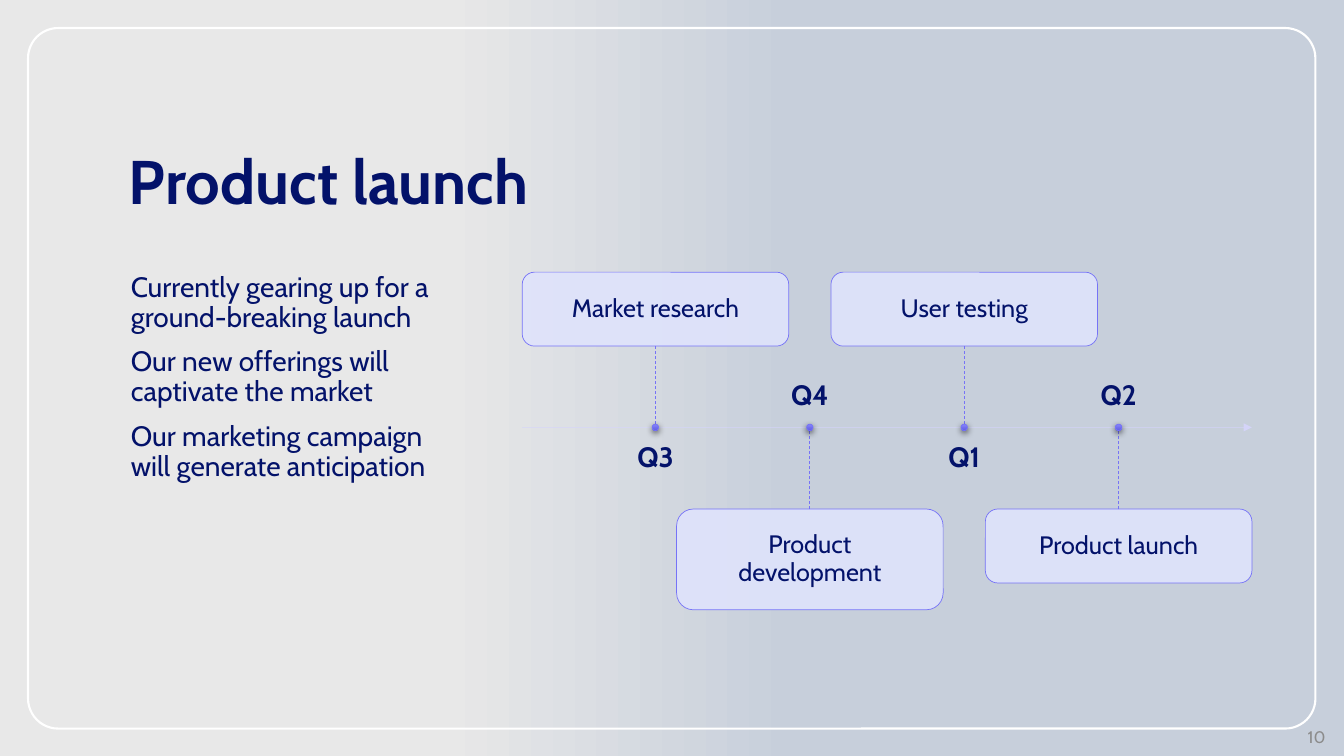
from lxml.etree import SubElement
from pptx import Presentation
from pptx.dml.color import RGBColor
from pptx.enum.dml import MSO_LINE_DASH_STYLE as DASH
from pptx.enum.shapes import MSO_CONNECTOR as CONN, MSO_SHAPE as SHAPE
from pptx.enum.text import MSO_ANCHOR as ANCHOR, PP_ALIGN as ALIGN
from pptx.oxml.ns import qn
from pptx.util import Pt

# Content
TITLE = "Product launch"
POINTS = [
    "Currently gearing up for a ground-breaking launch",
    "Our new offerings will captivate the market",
    "Our marketing campaign will generate anticipation",
]
MILESTONES = [  # quarter, step, box height
    ("Q3", "Market research", 52.8),
    ("Q4", "Product development", 72),
    ("Q1", "User testing", 52.8),
    ("Q2", "Product launch", 52.8),
]
PAGE = "10"

# Look
COLORS = {
    "left": "E8E8E8", "right": "C7CFDB", "frame": "FFFFFF", "navy": "03126A",
    "box": "DFE3FC", "violet": "7673F7", "axis": "D6D5FC", "page": "8C8C8C",
    "dot_top": "8886FA", "dot_bottom": "605DE5", "shadow": "000000",
}
FONT = "Cabin"

# Timeline layout in points
AXIS_Y, AXIS_X1, AXIS_X2 = 305.28, 373, 894.24
BOX_W, BOX_TOP, BOX_LOW = 190.4, 194.4, 363.6
FIRST_X = AXIS_X1 + BOX_W / 2
STEP = (AXIS_X2 - AXIS_X1 - BOX_W) / (len(MILESTONES) - 1)
LABEL_W, LABEL_H, LABEL_GAP = 167, 34.56, 11.52
DOT = 4.6


def rgb(name):
    return RGBColor.from_string(COLORS[name])


def add_alpha(color_parent, percent):
    color = next(color_parent.iter(qn("a:srgbClr")))
    SubElement(color, qn("a:alpha"), val=str(percent * 1000))


def gradient(fill, angle, *stops):
    fill.gradient()
    fill.gradient_angle = angle
    for stop, (position, name) in zip(fill.gradient_stops, stops):
        stop.position = position
        stop.color.rgb = rgb(name)


def outline(sp, name, width):
    sp.line.color.rgb = rgb(name)
    sp.line.width = Pt(width)


def write(sp, lines, size, color="navy", bold=False, align=ALIGN.LEFT,
          anchor=ANCHOR.TOP, inset=(7.2, 3.6), spacing=0.9, gap=0):
    tf = sp.text_frame
    across, down = (Pt(v) for v in inset)
    frame = {"word_wrap": True, "vertical_anchor": anchor, "margin_left": across,
             "margin_right": across, "margin_top": down, "margin_bottom": down}
    for key, value in frame.items():
        setattr(tf, key, value)
    for i, line in enumerate(lines):
        p = tf.paragraphs[0] if i == 0 else tf.add_paragraph()
        p.alignment, p.line_spacing = align, spacing
        if i:
            p.space_before = Pt(gap)
        r = p.add_run()
        r.text = line
        for key, value in {"name": FONT, "size": Pt(size), "bold": bold}.items():
            setattr(r.font, key, value)
        r.font.color.rgb = rgb(color)


def add_text(s, box, lines, size, **style):
    write(s.shapes.add_textbox(*map(Pt, box)), lines, size, **style)


def add_shape(s, kind, *box):
    sp = s.shapes.add_shape(kind, *map(Pt, box))
    sp.shadow.inherit = False
    return sp


def add_line(s, color, *ends):
    line = s.shapes.add_connector(CONN.STRAIGHT, *map(Pt, ends))
    outline(line, color, 0.5)
    SubElement(line._element.spPr, qn("a:effectLst"))
    return line


def add_dot(s, x):
    dot = add_shape(s, SHAPE.OVAL, x - DOT / 2, AXIS_Y - DOT / 2, DOT, DOT)
    gradient(dot.fill, 270, (0, "dot_top"), (1, "dot_bottom"))
    outline(dot, "violet", 0.5)
    effects = dot._element.spPr.find(qn("a:effectLst"))
    shadow = SubElement(effects, qn("a:outerShdw"), blurRad=str(Pt(4.5)),
                        dist=str(Pt(1.5)), dir="5400000", rotWithShape="0")
    SubElement(shadow, qn("a:srgbClr"), val=COLORS["shadow"])
    add_alpha(shadow, 63)


def add_milestone(s, index, quarter, step, height):
    x = FIRST_X + index * STEP
    above = index % 2 == 0
    # Step box
    box = add_shape(s, SHAPE.ROUNDED_RECTANGLE, x - BOX_W / 2,
                    BOX_TOP if above else BOX_LOW, BOX_W, height)
    box.fill.solid()
    box.fill.fore_color.rgb = rgb("box")
    add_alpha(box._element.spPr.find(qn("a:solidFill")), 90)
    outline(box, "violet", 0.5)
    write(box, [step], 18, align=ALIGN.CENTER, anchor=ANCHOR.MIDDLE, inset=(12, 12))
    # Dashed stem to the axis
    stem = add_line(s, "violet", x, AXIS_Y, x, AXIS_Y)
    stem.begin_connect(box, 2 if above else 0)
    stem.line.dash_style = DASH.DASH
    add_dot(s, x)
    # Quarter on the other side of the axis
    top = AXIS_Y + LABEL_GAP if above else AXIS_Y - LABEL_GAP - LABEL_H
    add_text(s, (x - LABEL_W / 2, top, LABEL_W, LABEL_H), [quarter], 20, bold=True,
             align=ALIGN.CENTER, anchor=ANCHOR.TOP if above else ANCHOR.BOTTOM,
             inset=(0, 0))


def main():
    prs = Presentation()
    prs.slide_width, prs.slide_height = Pt(960), Pt(540)
    s = prs.slides.add_slide(prs.slide_layouts[6])

    # Background and frame
    gradient(s.background.fill, 0, (0.33, "left"), (0.59, "right"))
    frame = add_shape(s, SHAPE.ROUNDED_RECTANGLE, 20, 20, 919.6, 500.4)
    frame.adjustments[0] = 0.043
    frame.fill.background()
    outline(frame, "frame", 1.5)

    # Title and points
    add_text(s, (85, 28.8, 827, 130.3), [TITLE], 44, bold=True, anchor=ANCHOR.BOTTOM)
    add_text(s, (86.4, 191.5, 244.8, 268.6), POINTS, 20, gap=10)

    # Timeline
    axis = add_line(s, "axis", AXIS_X1, AXIS_Y, AXIS_X2, AXIS_Y)
    ln = axis.line._get_or_add_ln()
    add_alpha(ln, 90)
    SubElement(ln, qn("a:tailEnd"), type="triangle")
    for index, milestone in enumerate(MILESTONES):
        add_milestone(s, index, *milestone)

    # Page number
    add_text(s, (738, 517, 216, 18), [PAGE], 12, color="page", align=ALIGN.RIGHT,
             anchor=ANCHOR.MIDDLE, spacing=1.0)
    prs.save("out.pptx")


if __name__ == "__main__":
    main()
